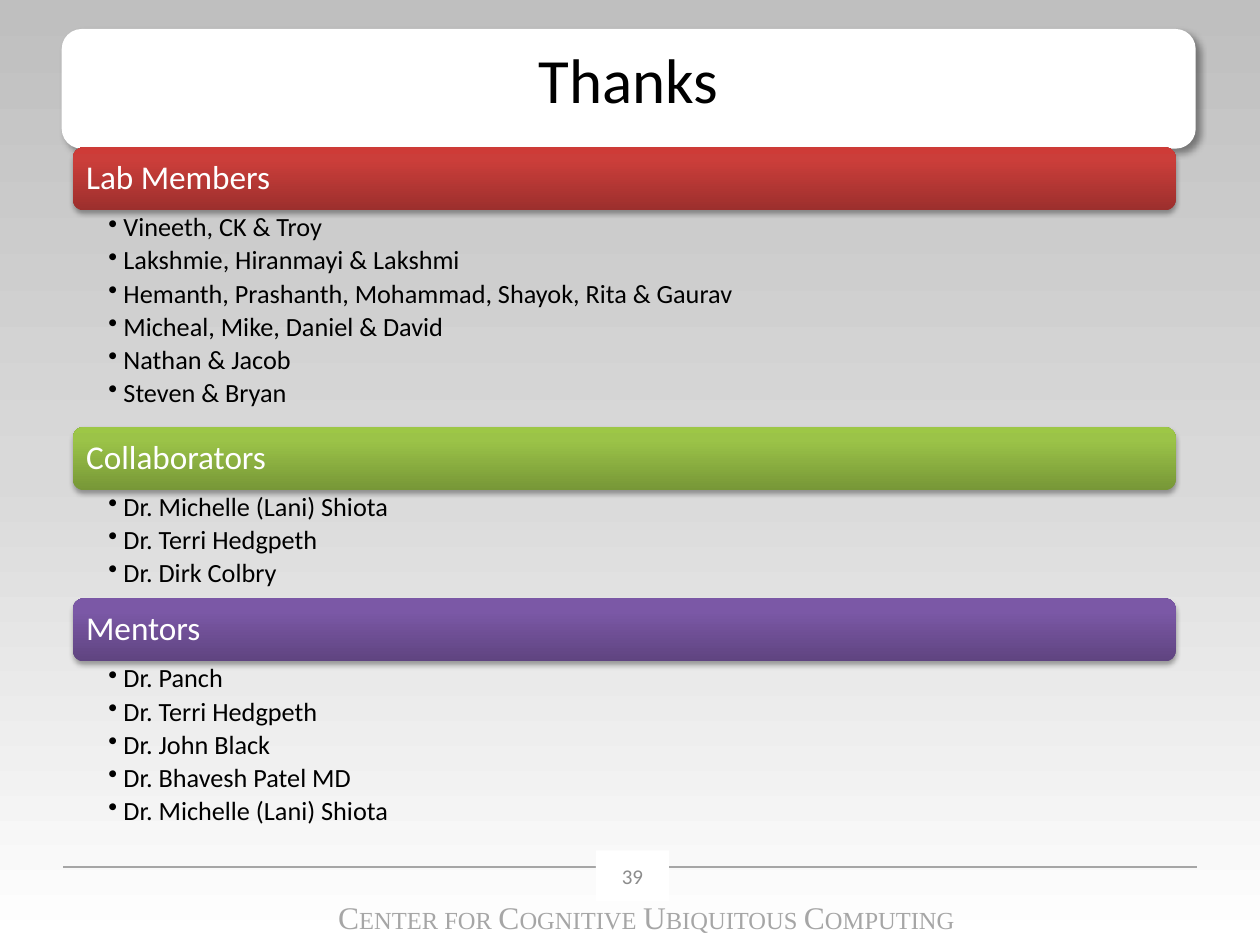
from dataclasses import dataclass

from pptx import Presentation
from pptx.dml.color import RGBColor
from pptx.enum.shapes import MSO_CONNECTOR, MSO_SHAPE
from pptx.enum.text import MSO_ANCHOR, PP_ALIGN
from pptx.oxml import parse_xml
from pptx.oxml.ns import nsdecls, qn
from pptx.util import Inches, Pt

COLORS = {
    "white": "FFFFFF", "black": "000000", "gray": "A6A6A6", "number": "8C8C8C",
    "sky": ("BFBFBF", "D9D9D9", "FFFFFF"),
    "red": ("9C2F2D", "CB3E3A", "CE3B37"),
    "green": ("779737", "9BC348", "9DC746"),
    "purple": ("5F4480", "7B58A6", "7C57A8"),
}


@dataclass
class Group:
    title: str
    color: str
    names: list[str]


GROUPS = [
    Group("Lab Members", "red", [
        "Vineeth, CK & Troy",
        "Lakshmie, Hiranmayi & Lakshmi",
        "Hemanth, Prashanth, Mohammad, Shayok, Rita & Gaurav",
        "Micheal, Mike, Daniel & David",
        "Nathan & Jacob",
        "Steven & Bryan",
    ]),
    Group("Collaborators", "green", [
        "Dr. Michelle (Lani) Shiota",
        "Dr. Terri Hedgpeth",
        "Dr. Dirk Colbry",
    ]),
    Group("Mentors", "purple", [
        "Dr. Panch",
        "Dr. Terri Hedgpeth",
        "Dr. John Black",
        "Dr. Bhavesh Patel MD",
        "Dr. Michelle (Lani) Shiota",
    ]),
]
LEFT, WIDTH, TOP = 0.58, 8.75, 1.17
BAR = 0.5
ROW = 0.86 / 3


def write(shape, lines, size=15, color="black", font="Calibri", align=PP_ALIGN.LEFT,
          anchor=MSO_ANCHOR.TOP, inset=(0.1, 0.05, 0.1, 0.05), spacing=None,
          after=None, bullet=False) -> None:
    """Fill a shape; each line is a string or a list of (text, size) runs."""
    frame = shape.text_frame
    frame.word_wrap = True
    frame.vertical_anchor = anchor
    (frame.margin_left, frame.margin_top,
     frame.margin_right, frame.margin_bottom) = map(Inches, inset)
    for i, line in enumerate(lines):
        para = frame.paragraphs[0] if i == 0 else frame.add_paragraph()
        para.alignment = align
        if spacing:
            para.line_spacing = spacing
        if after:
            para.space_after = Pt(after)
        if bullet:
            para.level = 1
            props = para._p.get_or_add_pPr()
            props.set("marL", str(Inches(0.12)))
            props.set("indent", str(Inches(-0.12)))
            props.append(parse_xml(f'<a:buChar {nsdecls("a")} char="•"/>'))
        for text, points in [(line, size)] if isinstance(line, str) else line:
            run = para.add_run()
            run.text = text
            run.font.name = font
            run.font.size = Pt(points)
            run.font.color.rgb = RGBColor.from_string(COLORS[color])


def shade(shape, color: str, middle: int, angle: int) -> None:
    """Give a shape a gradient of three stops."""
    stops = "".join(
        f'<a:gs pos="{place * 1000}"><a:srgbClr val="{tone}"/></a:gs>'
        for place, tone in zip((0, middle, 100), COLORS[color]))
    grad = parse_xml(
        f'<a:gradFill {nsdecls("a")} rotWithShape="1"><a:gsLst>{stops}</a:gsLst>'
        f'<a:lin ang="{angle * 60000}" scaled="0"/></a:gradFill>')
    shape._element.spPr.find(qn("a:prstGeom")).addnext(grad)


def drop(shape, alpha: int, blur: float, dist: float, angle: int) -> None:
    """Cast an outer shadow."""
    effects = shape._element.spPr.find(qn("a:effectLst"))
    effects.append(parse_xml(
        f'<a:outerShdw {nsdecls("a")} blurRad="{Pt(blur)}" dist="{Pt(dist)}" '
        f'dir="{angle * 60000}" algn="ctr" rotWithShape="0">'
        f'<a:srgbClr val="{COLORS["black"]}"><a:alpha val="{alpha * 1000}"/>'
        f'</a:srgbClr></a:outerShdw>'))


def box(slide, kind, left: float, top: float, width: float, height: float, fill=None):
    shape = slide.shapes.add_shape(kind, *map(Inches, (left, top, width, height)))
    shape.shadow.inherit = False
    shape.line.fill.background()
    if fill:
        shape.fill.solid()
        shape.fill.fore_color.rgb = RGBColor.from_string(COLORS[fill])
    return shape


def label(slide, left: float, top: float, width: float, height: float):
    return slide.shapes.add_textbox(*map(Inches, (left, top, width, height)))


def rule(slide, left: float, right: float, top: float) -> None:
    line = slide.shapes.add_connector(
        MSO_CONNECTOR.STRAIGHT, *map(Inches, (left, top, right, top)))
    line.line.color.rgb = RGBColor.from_string(COLORS["gray"])
    line.line.width = Pt(0.75)
    line._element.spPr.append(parse_xml(f'<a:effectLst {nsdecls("a")}/>'))


def stack(slide, groups: list[Group]) -> None:
    """Draw each heading bar with its list of names below."""
    top = TOP
    for group in groups:
        bar = box(slide, MSO_SHAPE.ROUNDED_RECTANGLE, LEFT, top, WIDTH, BAR)
        shade(bar, group.color, 80, 270)
        drop(bar, 35, 3.1, 1.8, 90)
        write(bar, [group.title], size=19, color="white", anchor=MSO_ANCHOR.MIDDLE,
              inset=(0.08, 0.05, 0.08, 0.05), spacing=0.9)
        top += BAR
        height = ROW * len(group.names)
        write(label(slide, LEFT, top, WIDTH, height), group.names,
              inset=(0.28, 0.03, 0.15, 0.03), spacing=0.9, after=2.7, bullet=True)
        top += height


def main() -> None:
    deck = Presentation()
    deck.slide_width, deck.slide_height = Inches(10), Inches(7.5)
    slide = deck.slides.add_slide(deck.slide_layouts[6])

    shade(box(slide, MSO_SHAPE.RECTANGLE, 0, 0, 10, 7.5), "sky", 50, 90)

    title = box(slide, MSO_SHAPE.ROUNDED_RECTANGLE, 0.49, 0.23, 9, 0.95, "white")
    drop(title, 40, 4, 3, 45)
    write(title, ["Thanks"], size=36, align=PP_ALIGN.CENTER)

    center = [("C", 18), ("ENTER FOR ", 14), ("C", 18), ("OGNITIVE ", 14),
              ("U", 18), ("BIQUITOUS ", 14), ("C", 18), ("OMPUTING", 14)]
    write(label(slide, 2.17, 7.08, 5.92, 0.4), [center], color="gray",
          font="Times New Roman", align=PP_ALIGN.CENTER)
    rule(slide, 0.5, 9.5, 6.88)
    number = box(slide, MSO_SHAPE.RECTANGLE, 4.73, 6.75, 0.58, 0.4, "white")
    write(number, ["39"], size=12, color="number", align=PP_ALIGN.CENTER,
          anchor=MSO_ANCHOR.MIDDLE)

    stack(slide, GROUPS)
    deck.save("out.pptx")


if __name__ == "__main__":
    main()
